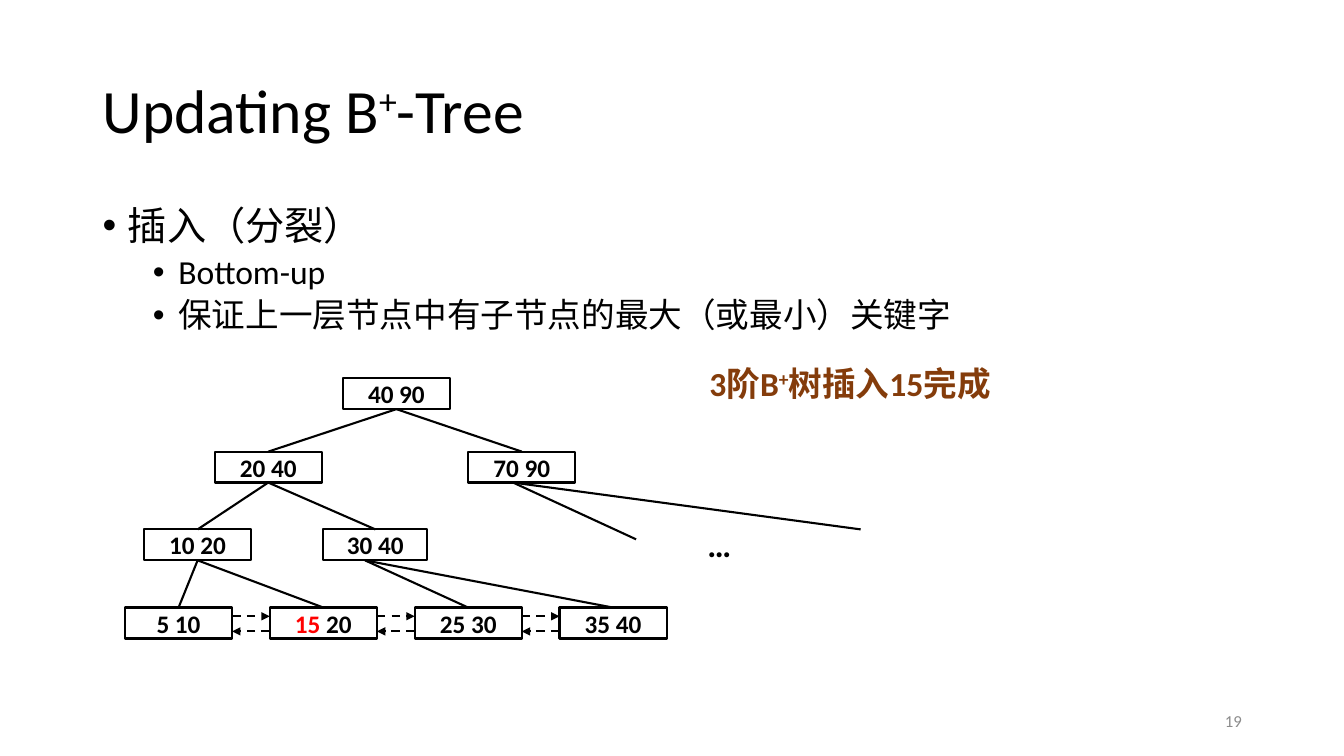
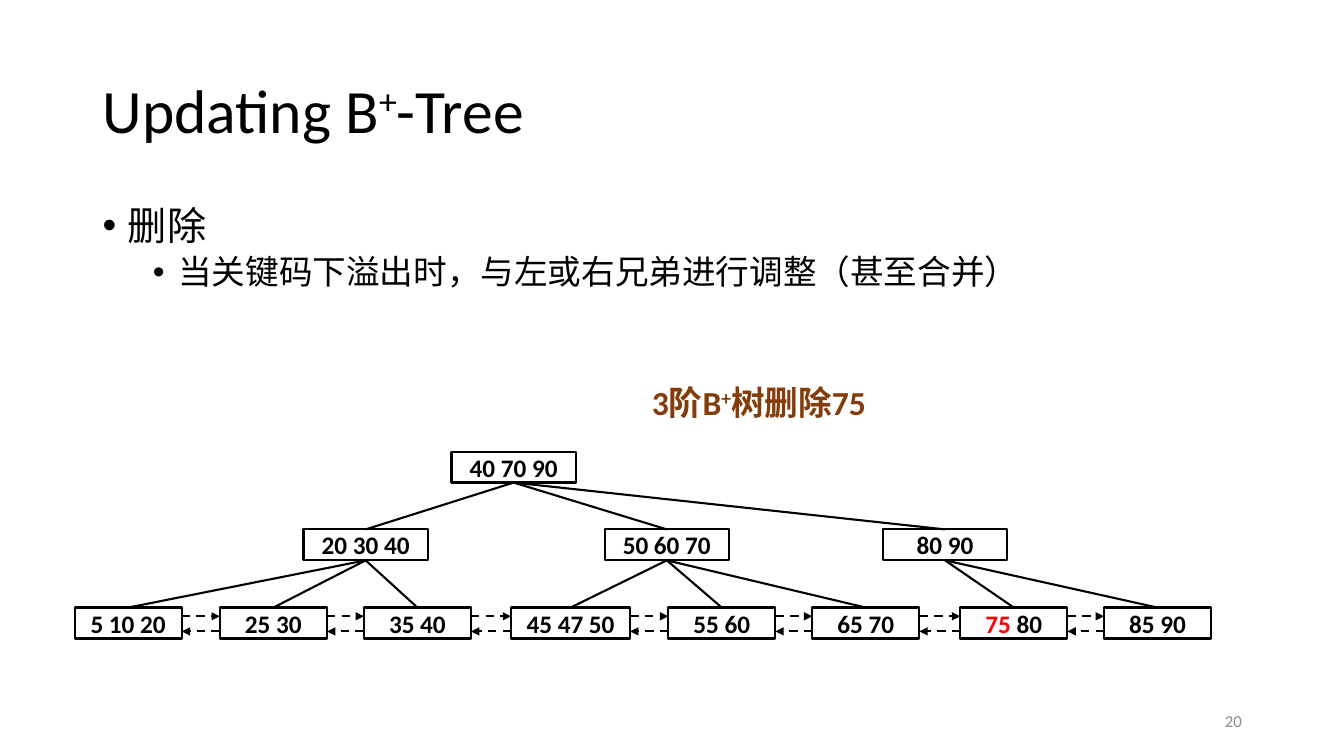
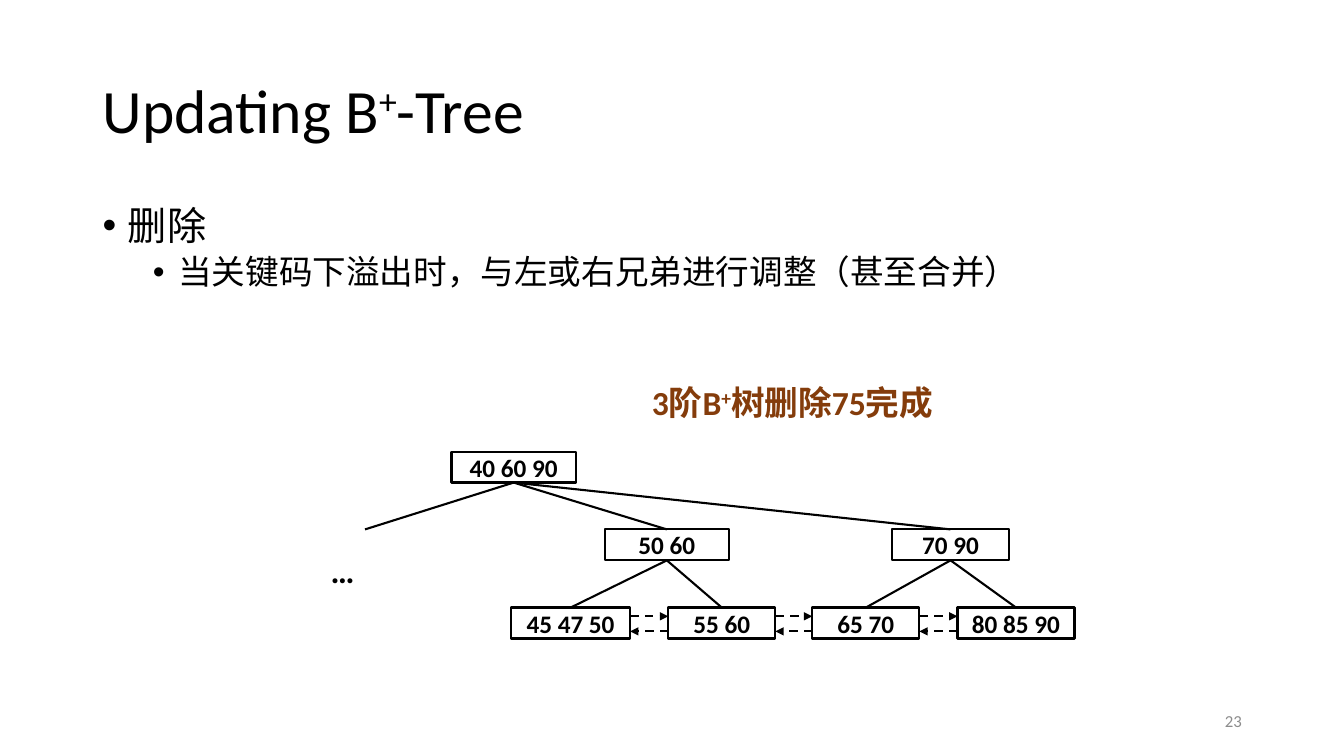
from dataclasses import dataclass
from typing import Optional

from lxml import etree
from pptx import Presentation
from pptx.dml.color import RGBColor
from pptx.enum.dml import MSO_LINE
from pptx.enum.shapes import MSO_CONNECTOR, MSO_SHAPE
from pptx.enum.text import MSO_ANCHOR, MSO_AUTO_SIZE, PP_ALIGN
from pptx.oxml.ns import qn
from pptx.util import Cm, Pt

# Shared style
COLORS = {"ink": "000000", "paper": "FFFFFF", "hot": "FF0000",
          "caption": "843C0B", "page": "8C8C8C"}
FONT = "Calibri"
LINE_W = Pt(1.5)
STRAIGHT, RECT, DASH = MSO_CONNECTOR.STRAIGHT, MSO_SHAPE.RECTANGLE, MSO_LINE.DASH
LEFT, CENTER, RIGHT = PP_ALIGN.LEFT, PP_ALIGN.CENTER, PP_ALIGN.RIGHT
MIDDLE, TOP = MSO_ANCHOR.MIDDLE, MSO_ANCHOR.TOP
NO_FIT = MSO_AUTO_SIZE.NONE
BOTTOM_SIDE, TOP_SIDE = 2, 0

# Tree geometry in cm
ROW_Y = (9.53, 11.38, 13.34, 15.31)
LEAF_LEVEL = 3
NODE_H = 0.78
NEXT_Y, PREV_Y = 15.53, 15.91
NARROW, MEDIUM, WIDE = 2.7, 2.95, 3.13

Box = tuple[float, float, float, float]


@dataclass(frozen=True)
class Node:
    x: float
    text: str
    w: float = NARROW
    hot: str = ""                       # leading key shown in red
    children: tuple["Node", ...] = ()
    stubs: tuple[tuple[float, float], ...] = ()  # ends of undrawn branches
    fan_x: Optional[float] = None       # branch start when off centre


@dataclass(frozen=True)
class Page:
    number: int
    heading: str
    points: tuple[str, ...]
    caption: str
    caption_box: Box
    root: Node
    root_level: int
    dots: Optional[tuple[float, float]] = None


def rgb(name: str) -> RGBColor:
    return RGBColor.from_string(COLORS[name])


def style_run(r, size: float, color: str = "ink", bold: bool = False) -> None:
    r.font.name = FONT
    r.font.size = Pt(size)
    r.font.bold = bold
    r.font.color.rgb = rgb(color)


def write(p, text: str, size: float, color: str = "ink", bold: bool = False) -> None:
    """Write text; a plus sign becomes a superscript."""
    before, plus, after = text.partition("+")
    p.text = before
    for part in filter(None, (plus, after)):
        p.add_run().text = part
    for r in p.runs:
        style_run(r, size, color, bold)
        if r.text == "+":
            r._r.get_or_add_rPr().set("baseline", "30000")


def place(sp, box: Box) -> None:
    sp.left, sp.top, sp.width, sp.height = map(Cm, box)


def add_text(s, box: Box, text: str, size: float, color: str = "ink",
             bold: bool = False, align=LEFT, anchor=TOP) -> None:
    tf = s.shapes.add_textbox(*map(Cm, box)).text_frame
    tf.word_wrap = True
    tf.vertical_anchor = anchor
    p = tf.paragraphs[0]
    write(p, text, size, color, bold)
    p.alignment = align


def add_title(s, text: str) -> None:
    sp = s.shapes.title
    place(sp, (2.33, 1.01, 29.21, 3.68))
    tf = sp.text_frame
    tf.auto_size = NO_FIT
    tf.vertical_anchor = MIDDLE
    p = tf.paragraphs[0]
    write(p, text, 44)
    p.alignment = LEFT
    p.line_spacing = 0.9


def add_body(s, heading: str, points: tuple[str, ...]) -> None:
    sp = s.placeholders[1]
    place(sp, (2.33, 5.07, 29.21, 12.09))
    tf = sp.text_frame
    tf.auto_size = NO_FIT
    for i, text in enumerate((heading, *points)):
        p = tf.add_paragraph() if i else tf.paragraphs[0]
        p.level = min(i, 1)
        pPr = p._p.get_or_add_pPr()
        pPr.set("marL", str(Cm(1.91 if i else 0.64)))
        pPr.set("indent", str(-Cm(0.64)))
        etree.SubElement(pPr, qn("a:buChar"), char="•")
        p.line_spacing = 0.9
        p.space_before = Pt(5 if i else 0)
        write(p, text, 24 if i else 28)


def add_line(s, x1: int, y1: int, x2: int, y2: int, arrow: bool = False):
    """Draw a plain line, or a dashed arrow; lengths are in EMU."""
    c = s.shapes.add_connector(STRAIGHT, x1, y1, x2, y2)
    c.line.color.rgb = rgb("ink")
    c.line.width = LINE_W
    if arrow:
        c.line.dash_style = DASH
        etree.SubElement(c.line._get_or_add_ln(), qn("a:tailEnd"), type="triangle")
    etree.SubElement(c._element.spPr, qn("a:effectLst"))
    return c


def add_node(s, node: Node, level: int):
    sp = s.shapes.add_shape(RECT, *map(Cm, (node.x, ROW_Y[level], node.w, NODE_H)))
    sp.shadow.inherit = False
    sp.fill.solid()
    sp.fill.fore_color.rgb = rgb("paper")
    sp.line.color.rgb = rgb("ink")
    sp.line.width = LINE_W
    tf = sp.text_frame
    tf.vertical_anchor = MIDDLE
    p = tf.paragraphs[0]
    p.alignment = CENTER
    p.text = node.hot or node.text
    style_run(p.runs[0], 18, "hot" if node.hot else "ink", True)
    if node.hot:
        r = p.add_run()
        r.text = node.text.removeprefix(node.hot)
        style_run(r, 18, bold=True)
    return sp


def add_tree(s, node: Node, level: int, leaves: list):
    """Draw a node, its subtree and the branches; collect the leaves."""
    sp = add_node(s, node, level)
    if level == LEAF_LEVEL:
        leaves.append(sp)
    x = sp.left + sp.width // 2 if node.fan_x is None else Cm(node.fan_x)
    y = sp.top + sp.height
    for child in node.children:
        kid = add_tree(s, child, level + 1, leaves)
        c = add_line(s, x, y, kid.left + kid.width // 2, kid.top)
        if node.fan_x is None:
            c.begin_connect(sp, BOTTOM_SIDE)
        c.end_connect(kid, TOP_SIDE)
    for end_x, end_y in node.stubs:
        add_line(s, x, y, Cm(end_x), Cm(end_y))
    return sp


def link_leaves(s, leaves: list) -> None:
    for a, b in zip(leaves, leaves[1:]):
        right = a.left + a.width
        add_line(s, right, Cm(NEXT_Y), b.left, Cm(NEXT_Y), arrow=True)
        add_line(s, b.left, Cm(PREV_Y), right, Cm(PREV_Y), arrow=True)


def add_page(prs, page: Page) -> None:
    s = prs.slides.add_slide(prs.slide_layouts[1])
    add_title(s, "Updating B+-Tree")
    add_body(s, page.heading, page.points)
    leaves = []
    add_tree(s, page.root, page.root_level, leaves)
    link_leaves(s, leaves)
    add_text(s, page.caption_box, page.caption, 24, "caption", True)
    if page.dots:
        add_text(s, (*page.dots, 1.5, 1.27), "…", 24, bold=True)
    add_text(s, (23.93, 17.65, 7.62, 1.02), str(page.number), 12, "page",
             align=RIGHT, anchor=MIDDLE)


# Content
DELETE = "删除"
DELETE_POINTS = ("当关键码下溢出时，与左或右兄弟进行调整（甚至合并）",)
LEAF_45 = Node(12.88, "45 47 50", 3.0)
LEAF_55 = Node(16.84, "55 60")
LEAF_65 = Node(20.47, "65 70")

INSERT_TREE = Node(8.64, "40 90", children=(
    Node(5.41, "20 40", children=(
        Node(3.63, "10 20", children=(
            Node(3.15, "5 10"), Node(6.8, "15 20", hot="15"))),
        Node(8.15, "30 40", 2.62, fan_x=9.2, children=(
            Node(10.45, "25 30"), Node(14.1, "35 40"))))),
    Node(11.8, "70 90", fan_x=12.93, stubs=((16.03, 13.59), (21.69, 13.34)))))

DELETE_TREE = Node(11.38, "40 70 90", WIDE, children=(
    Node(7.65, "20 30 40", WIDE, children=(
        Node(1.88, "5 10 20"), Node(5.54, "25 30"), Node(9.17, "35 40"))),
    Node(15.24, "50 60 70", WIDE, children=(LEAF_45, LEAF_55, LEAF_65)),
    Node(22.25, "80 90", WIDE, children=(
        Node(24.2, "75 80", hot="75"), Node(27.82, "85 90")))))

DELETED_TREE = Node(11.38, "40 60 90", WIDE, stubs=((9.2, 13.34),), children=(
    Node(15.24, "50 60", WIDE, children=(LEAF_45, LEAF_55)),
    Node(22.48, "70 90", MEDIUM, children=(
        LEAF_65, Node(24.13, "80 85 90", MEDIUM)))))

PAGES = (
    Page(19, "插入（分裂）",
         ("Bottom-up", "保证上一层节点中有子节点的最大（或最小）关键字"),
         "3阶B+树插入15完成", (17.63, 9.02, 10.06, 1.27),
         INSERT_TREE, 0, (17.58, 13.08)),
    Page(20, DELETE, DELETE_POINTS, "3阶B+树删除75", (16.18, 9.5, 5.99, 1.27),
         DELETE_TREE, 1),
    Page(23, DELETE, DELETE_POINTS, "3阶B+树删除75完成", (16.18, 9.5, 7.7, 1.27),
         DELETED_TREE, 1, (8.08, 13.72)),
)


def main() -> None:
    prs = Presentation()
    prs.slide_width, prs.slide_height = Cm(33.87), Cm(19.05)
    for page in PAGES:
        add_page(prs, page)
    prs.save("out.pptx")


if __name__ == "__main__":
    main()
